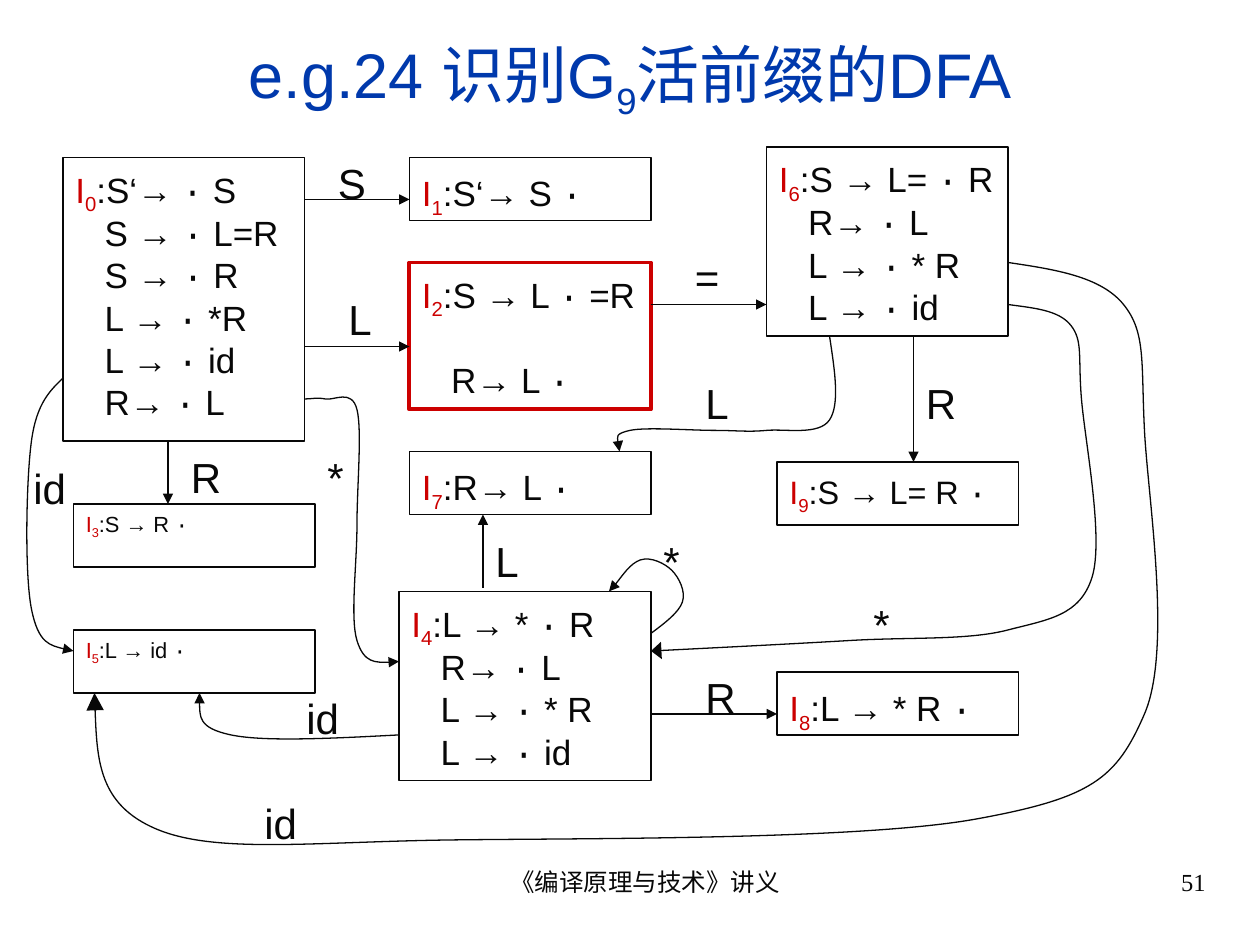
"""Builds the slide showing the DFA that recognises the viable prefixes of G9."""
import lxml.etree
import pptx
import pptx.dml.color
import pptx.enum.shapes
import pptx.enum.text
import pptx.oxml.ns
import pptx.util

Pt = pptx.util.Pt
qn = pptx.oxml.ns.qn
ALIGN = pptx.enum.text.PP_ALIGN
ANCHOR = pptx.enum.text.MSO_ANCHOR
COLORS = {"title": "0039AC", "ink": "080808", "accent": "CC0000"}
DOT = "∙"

STATES = [
    ("0", (36, 90, 138, 162), 20, 0.8, ["S‘→ ∙ S", "S → ∙ L=R", "S → ∙ R", "L → ∙ *R", "L → ∙ id", "R→ ∙ L"]),
    ("1", (234, 90, 138, 36), 20, 0.9, ["S‘→ S ∙"]),
    ("2", (234, 150, 138, 84), 20, 0.8, ["S → L ∙ =R", "R→ L ∙"]),
    ("3", (42, 288, 138, 36), 12.5, 0.7, ["S → R ∙"]),
    ("4", (228, 338, 144, 108), 20, 0.8, ["L → * ∙ R", "R→ ∙ L", "L → ∙ * R", "L → ∙ id"]),
    ("6", (438, 84, 138, 108), 20, 0.8, ["S → L= ∙ R", "R→ ∙ L", "L → ∙ * R", "L → ∙ id"]),
    ("8", (444, 384, 138, 36), 20, 0.9, ["L → * R ∙"]),
    ("7", (234, 258, 138, 36), 20, 0.9, ["R→ L ∙"]),
    ("5", (42, 360, 138, 36), 12.5, 0.7, ["L → id ∙"]),
    ("9", (444, 264, 138, 36), 18.5, 0.8, ["S → L= R ∙"]),
]
HIGHLIGHT = {"2": {"color": "accent", "weight": 2.25, "gap": 29}}

ARROWS = [
    (174, 198, 234, 198), (174, 114, 234, 114), (96, 252, 96, 288), (276, 336, 276, 294),
    (372, 408, 444, 408), (522, 192, 522, 264), (372, 174, 438, 174),
]

CURVES = [
    ([(372, 362), (380, 356), (388, 350), (390, 344), (392, 338), (388, 330), (384, 326),
      (380, 322), (372, 318), (366, 320), (360, 322), (351.5, 335), (348, 338)], {}),
    ([(228, 420), (189.5, 422), (151, 424), (132, 420), (113, 416), (114, 406), (114, 396)], {}),
    ([(576, 150), (603, 154), (629, 158), (642, 174), (655, 190), (652, 207), (654, 246),
      (656, 285), (670, 371), (654, 408), (638, 445), (624, 456), (558, 468),
      (492, 480), (336, 479), (258, 480), (180, 481), (124, 488), (90, 474),
      (56, 460), (55, 428), (54, 396)], {"w": "lg", "len": "lg"}),
    ([(36, 216), (29, 223), (21, 230), (18, 252), (15, 274), (14, 328), (18, 348),
      (22, 368), (32, 370), (42, 372)], {}),
    ([(174, 228), (178, 228), (181, 227), (186, 228), (191, 229), (201, 222), (204, 234),
      (207, 246), (204, 278), (204, 300), (204, 322), (200, 353), (204, 366),
      (208, 379), (218, 379), (228, 378)], {}),
    ([(474, 192), (477, 212), (480, 231), (474, 240), (468, 249), (449, 245), (438, 246),
      (427, 247), (421, 246), (408, 246), (395, 246), (369, 244), (360, 246),
      (351, 248), (353, 253), (354, 258)], {}),
    ([(576, 174), (590, 176), (605, 177), (612, 186), (619, 195), (616, 204), (618, 228),
      (620, 252), (631, 308), (624, 330), (617, 352), (599, 354), (576, 360),
      (553, 366), (520, 364), (486, 366), (452, 368), (412, 370), (372, 372)], {"w": "lg"}),
]

LABELS = [
    ("S", 186, 84), ("L", 192, 162), ("R", 102, 252), ("id", 12, 258), ("*", 180, 252),
    ("=", 390, 138), ("L", 276, 300), ("*", 372, 300), ("R", 396, 378), ("L", 396, 210),
    ("R", 522, 210), ("id", 144, 450), ("id", 168, 390), ("*", 492, 336),
]


class Diagram:
    """Holds the style and the current slide."""

    def __init__(self, prs):
        self.slide = prs.slides.add_slide(prs.slide_layouts[5])
        self.shapes = self.slide.shapes

    def frame(self, sp, top=3.6, anchor=ANCHOR.TOP):
        """Formats a text frame and returns it."""
        tf = sp.text_frame
        values = {"word_wrap": True, "vertical_anchor": anchor, "margin_left": Pt(7.2),
                  "margin_right": Pt(7.2), "margin_top": Pt(top), "margin_bottom": Pt(3.6)}
        for name, value in values.items():
            setattr(tf, name, value)
        return tf

    def run(self, p, text, size, color="ink", font="Arial", sub=False):
        """Adds a formatted run."""
        r = p.add_run()
        r.text = text
        for name, value in {"size": Pt(size), "name": font, "bold": False}.items():
            setattr(r.font, name, value)
        r.font.color.rgb = pptx.dml.color.RGBColor.from_string(COLORS[color])
        if sub:
            r.font._element.set("baseline", "-25000")

    def stroke(self, sp, color="ink", weight=0.75):
        """Sets the outline of a shape."""
        sp.line.color.rgb = pptx.dml.color.RGBColor.from_string(COLORS[color])
        sp.line.width = Pt(weight)

    def arrowhead(self, sp, **size):
        """Ends a line with a triangle."""
        lxml.etree.SubElement(sp.line._get_or_add_ln(), qn("a:tailEnd"), type="triangle", **size)

    def title(self, parts):
        """Places the title; every second part is a subscript."""
        sp = self.shapes.title
        sp.left, sp.top, sp.width, sp.height = Pt(24), Pt(18), Pt(672), Pt(54)
        p = self.frame(sp, anchor=ANCHOR.MIDDLE).paragraphs[0]
        p.alignment = ALIGN.CENTER
        for i, part in enumerate(parts):
            self.run(p, part, 36, "title", sub=i % 2 == 1)

    def state(self, number, box, size, spacing, items, color="ink", weight=0.75, gap=5):
        """Draws a state box with its item set."""
        sp = self.shapes.add_shape(pptx.enum.shapes.MSO_SHAPE.RECTANGLE, *map(Pt, box))
        sp.shadow.inherit = False
        sp.fill.background()
        self.stroke(sp, color, weight)
        tf = self.frame(sp, 3.6 + size / 4)
        for i, item in enumerate(items):
            p = tf.paragraphs[0] if i == 0 else tf.add_paragraph()
            p.alignment, p.line_spacing = ALIGN.LEFT, spacing
            if i == 0:
                self.run(p, "I", size, "accent")
                self.run(p, number, size, "accent", sub=True)
                item = ":" + item
            else:
                p.space_before = Pt(gap)
                p._p.get_or_add_pPr().set("marL", str(Pt(27)))
                p._p.get_or_add_pPr().set("indent", str(Pt(-10.3)))
            before, dot, after = item.partition(DOT)
            self.run(p, before, size)
            self.run(p, dot, size, font="Courier New")
            if after:
                self.run(p, after, size)

    def arrow(self, x1, y1, x2, y2):
        """Draws a straight arrow."""
        sp = self.shapes.add_connector(pptx.enum.shapes.MSO_CONNECTOR.STRAIGHT, *map(Pt, (x1, y1, x2, y2)))
        self.stroke(sp)
        self.arrowhead(sp)
        lxml.etree.SubElement(sp._element.spPr, qn("a:effectLst"))

    def curve(self, points, head):
        """Draws a curved arrow through a start point and Bezier triples."""
        start, *rest = [(Pt(x), Pt(y)) for x, y in points]
        builder = self.shapes.build_freeform(*start)
        builder.add_line_segments(rest, close=False)
        sp = builder.convert_to_shape()
        sp.shadow.inherit = False
        sp.fill.background()
        self.stroke(sp)
        self.arrowhead(sp, **head)
        outline = next(sp._element.iter(qn("a:path")))
        legs = outline.findall(qn("a:lnTo"))
        for i in range(0, len(legs), 3):
            bezier = lxml.etree.SubElement(outline, qn("a:cubicBezTo"))
            for leg in legs[i:i + 3]:
                bezier.append(leg[0])
                outline.remove(leg)

    def text(self, text, box, size=24, font="Arial", align=ALIGN.LEFT, top=3.6, indent=0):
        """Adds a one-line text box."""
        sp = self.shapes.add_textbox(*map(Pt, box))
        p = self.frame(sp, top).paragraphs[0]
        p.alignment = align
        p._p.get_or_add_pPr().set("marL", str(Pt(indent)))
        self.run(p, text, size, font=font)


def main():
    """Builds and saves the slide."""
    prs = pptx.Presentation()
    prs.slide_width, prs.slide_height = Pt(720), Pt(540)
    d = Diagram(prs)
    d.title(["e.g.24 识别G", "9", "活前缀的DFA"])
    for number, *rest in STATES:
        d.state(number, *rest, **HIGHLIGHT.get(number, {}))
    for ends in ARROWS:
        d.arrow(*ends)
    for points, head in CURVES:
        d.curve(points, head)
    for text, x, y in LABELS:
        d.text(text, (x, y, 36, 36), top=6)
    footer = {"size": 14, "font": "Times New Roman", "indent": 17.28}
    d.text("《编译原理与技术》讲义", (246, 492, 228, 37.5), align=ALIGN.CENTER, **footer)
    d.text("51", (516, 492, 180, 37.5), align=ALIGN.RIGHT, **footer)
    prs.save("out.pptx")


if __name__ == "__main__":
    main()
